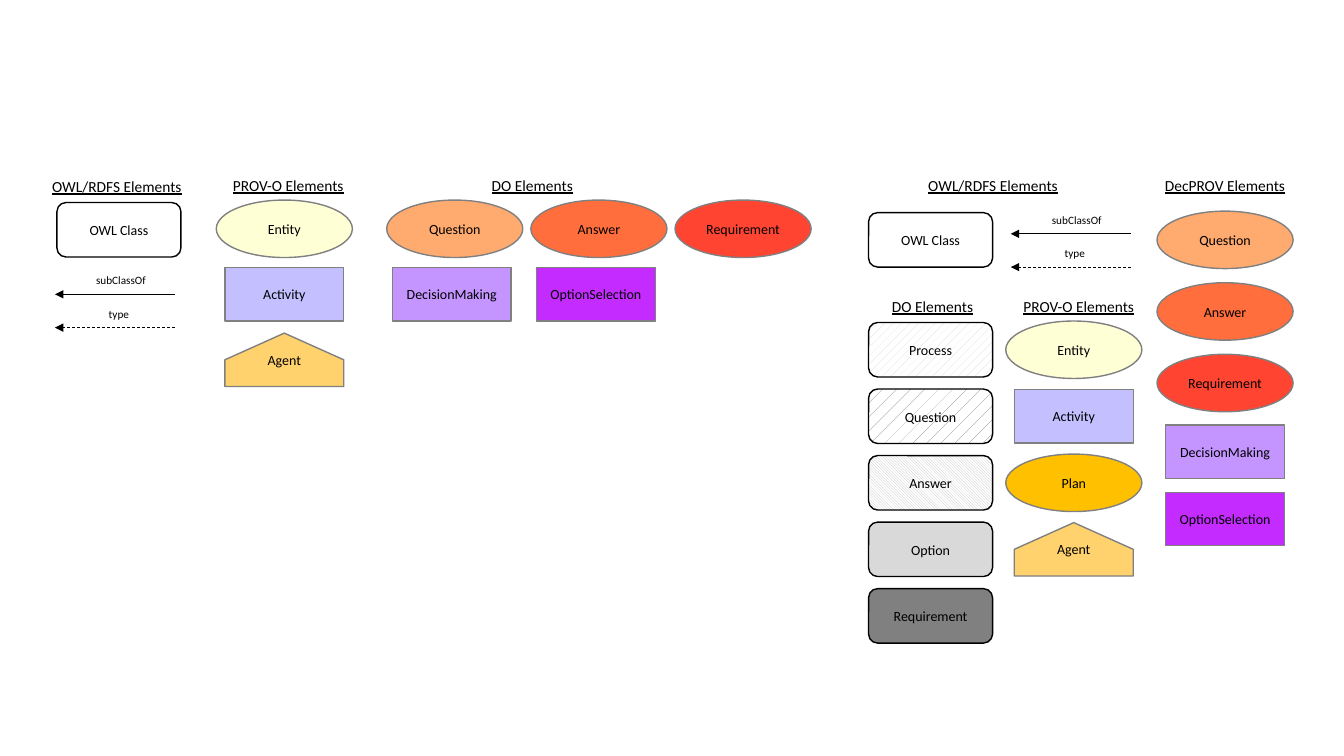
import lxml.etree
import pptx
import pptx.dml.color
import pptx.enum.dml
import pptx.enum.shapes
import pptx.enum.text
import pptx.oxml.ns
import pptx.util

SHAPE = pptx.enum.shapes.MSO_SHAPE
PATTERN = pptx.enum.dml.MSO_PATTERN
INCH = pptx.util.Inches
SIZES = {"class": (1.23, 0.54), "entity": (1.35, 0.57), "activity": (1.18, 0.53), "agent": (1.18, 0.53)}
PRESETS = {"class": SHAPE.ROUNDED_RECTANGLE, "entity": SHAPE.OVAL, "activity": SHAPE.RECTANGLE}
COLS = {"owl": 1.18, "prov": 2.82, "do": 4.51, "right_do": 9.23, "right_prov": 10.65, "dec": 12.15}
DO_PITCH = 1.43
LEFT_TOP, LEFT_PITCH = 2.27, 0.65
RIGHT_TOP, RIGHT_PITCH = 3.47, 0.66
DEC_TOP, DEC_PITCH = 2.38, 0.71
DEC_RECT_TOP, DEC_RECT_PITCH = 4.48, 0.67

ENTITY = ("entity", "Entity", "FFFFD6")
ACTIVITY = ("activity", "Activity", "C4BFFF")
PLAN = ("entity", "Plan", "FFC000")
AGENT = ("agent", "Agent", "FFD26D")
OWL_CLASS = ("class", "OWL Class", "FFFFFF")
DECISION_ENTITIES = [
    ("entity", "Question", "FFAA6F"),
    ("entity", "Answer", "FF6E3C"),
    ("entity", "Requirement", "FF4432"),
]
DECISION_ACTIVITIES = [
    ("activity", "DecisionMaking", "C495FF"),
    ("activity", "OptionSelection", "C42BFF"),
]
DO_CLASSES = [
    ("class", "Process", (PATTERN.PERCENT_20, "D9D9D9")),
    ("class", "Question", (PATTERN.PERCENT_5, "808080")),
    ("class", "Answer", (PATTERN.LIGHT_DOWNWARD_DIAGONAL, "BFBFBF")),
    ("class", "Option", "D9D9D9"),
    ("class", "Requirement", "808080"),
]


def rgb(value):
    """Turn a hex string into a colour."""
    return pptx.dml.color.RGBColor.from_string(value)


def write(tf, text, size, spaced=True, underline=False):
    """Write one centred paragraph into a text frame."""
    p = tf.paragraphs[0]
    p.text = text
    p.alignment = pptx.enum.text.PP_ALIGN.CENTER
    if spaced:
        p.line_spacing = 1.05
        p.space_after = pptx.util.Pt(8)
    p.font.name = "Calibri"
    p.font.size = pptx.util.Pt(size)
    p.font.color.rgb = rgb("000000")
    if underline:
        p.font.underline = True


def paint(sp, fill):
    """Fill a shape with a plain colour or a pattern on white."""
    if isinstance(fill, str):
        sp.fill.solid()
        sp.fill.fore_color.rgb = rgb(fill)
    else:
        sp.fill.patterned()
        sp.fill.pattern, fore = fill
        sp.fill.fore_color.rgb = rgb(fore)
        sp.fill.back_color.rgb = rgb("FFFFFF")


def add_house(slide, x, y, w, h):
    """Draw the five-sided agent outline."""
    builder = slide.shapes.build_freeform(INCH(x + w / 2), INCH(y))
    corners = [(x + w, y + h / 2), (x + w, y + h), (x, y + h), (x, y + h / 2)]
    builder.add_line_segments([(INCH(px), INCH(py)) for px, py in corners], close=True)
    return builder.convert_to_shape()


def add_node(slide, node, cx, cy):
    """Add a legend node centred on a grid point."""
    kind, text, fill = node
    w, h = SIZES[kind]
    x, y = cx - w / 2, cy - h / 2
    if kind == "agent":
        sp = add_house(slide, x, y, w, h)
    else:
        sp = slide.shapes.add_shape(PRESETS[kind], INCH(x), INCH(y), INCH(w), INCH(h))
    sp.shadow.inherit = False
    paint(sp, fill)
    sp.line.color.rgb = rgb("000000" if kind == "class" else "808080")
    sp.line.width = pptx.util.Pt(1)
    tf = sp.text_frame
    tf.word_wrap = True
    tf.vertical_anchor = pptx.enum.text.MSO_ANCHOR.MIDDLE
    if kind == "class":
        tf.margin_top = tf.margin_bottom = 0
    write(tf, text, 10, spaced=kind == "class")


def add_column(slide, nodes, cx, top, pitch):
    """Stack nodes downwards at an equal pitch."""
    for i, node in enumerate(nodes):
        add_node(slide, node, cx, top + i * pitch)


def add_row(slide, nodes, left, cy):
    """Set nodes side by side at the decision pitch."""
    for i, node in enumerate(nodes):
        add_node(slide, node, left + i * DO_PITCH, cy)


def add_label(slide, text, cx, top, size, w, underline=False):
    """Add an unwrapped label centred on a column."""
    sp = slide.shapes.add_textbox(INCH(cx - w / 2), INCH(top), INCH(w), INCH(0.28))
    sp.text_frame.word_wrap = False
    write(sp.text_frame, text, size, underline=underline)


def add_headings(slide, headings):
    """Add the underlined group headings."""
    for text, cx, top in headings:
        add_label(slide, text, cx, top, 11, 1.6, True)


def add_arrow(slide, text, cx, y, dashed):
    """Add a labelled arrow that points left."""
    half = 0.595
    line = slide.shapes.add_connector(
        pptx.enum.shapes.MSO_CONNECTOR.STRAIGHT, INCH(cx + half), INCH(y), INCH(cx - half), INCH(y))
    line.line.color.rgb = rgb("000000")
    line.line.width = pptx.util.Pt(0.5)
    if dashed:
        line.line.dash_style = pptx.enum.dml.MSO_LINE.DASH
    qn = pptx.oxml.ns.qn
    spPr = line._element.spPr
    lxml.etree.SubElement(spPr.find(qn("a:ln")), qn("a:tailEnd"), type="triangle")
    lxml.etree.SubElement(spPr, qn("a:effectLst"))
    add_label(slide, text, cx + (0.04 if dashed else 0.06), y - 0.26, 8, 1.2)


def add_arrows(slide, cx, y):
    """Add the subClassOf and type arrows."""
    add_arrow(slide, "subClassOf", cx, y, False)
    add_arrow(slide, "type", cx, y + 0.33, True)


def add_left_legend(slide):
    """Lay out the legend on the left."""
    add_headings(slide, [
        ("OWL/RDFS Elements", 1.16, 1.7), ("PROV-O Elements", 2.86, 1.69), ("DO Elements", 5.28, 1.69)])
    add_node(slide, OWL_CLASS, COLS["owl"], LEFT_TOP + 0.01)
    add_arrows(slide, 1.14, 2.92)
    add_column(slide, [ENTITY, ACTIVITY, AGENT], COLS["prov"], LEFT_TOP, LEFT_PITCH)
    add_row(slide, DECISION_ENTITIES, COLS["do"], LEFT_TOP)
    add_row(slide, DECISION_ACTIVITIES, COLS["do"] - 0.03, LEFT_TOP + LEFT_PITCH)


def add_right_legend(slide):
    """Lay out the legend on the right."""
    add_headings(slide, [
        ("OWL/RDFS Elements", 9.85, 1.69), ("DecPROV Elements", 12.15, 1.69),
        ("DO Elements", 9.25, 2.89), ("PROV-O Elements", 10.7, 2.89)])
    add_node(slide, OWL_CLASS, COLS["right_do"], DEC_TOP)
    add_arrows(slide, 10.62, 2.32)
    add_column(slide, DO_CLASSES, COLS["right_do"], RIGHT_TOP, RIGHT_PITCH)
    add_column(slide, [ENTITY, ACTIVITY, PLAN, AGENT], COLS["right_prov"], RIGHT_TOP, RIGHT_PITCH)
    add_column(slide, DECISION_ENTITIES, COLS["dec"], DEC_TOP, DEC_PITCH)
    add_column(slide, DECISION_ACTIVITIES, COLS["dec"], DEC_RECT_TOP, DEC_RECT_PITCH)


def main():
    """Build and save the slide."""
    prs = pptx.Presentation()
    prs.slide_width, prs.slide_height = INCH(13.33), INCH(7.5)
    slide = prs.slides.add_slide(prs.slide_layouts[6])
    add_left_legend(slide)
    add_right_legend(slide)
    prs.save("out.pptx")


if __name__ == "__main__":
    main()
